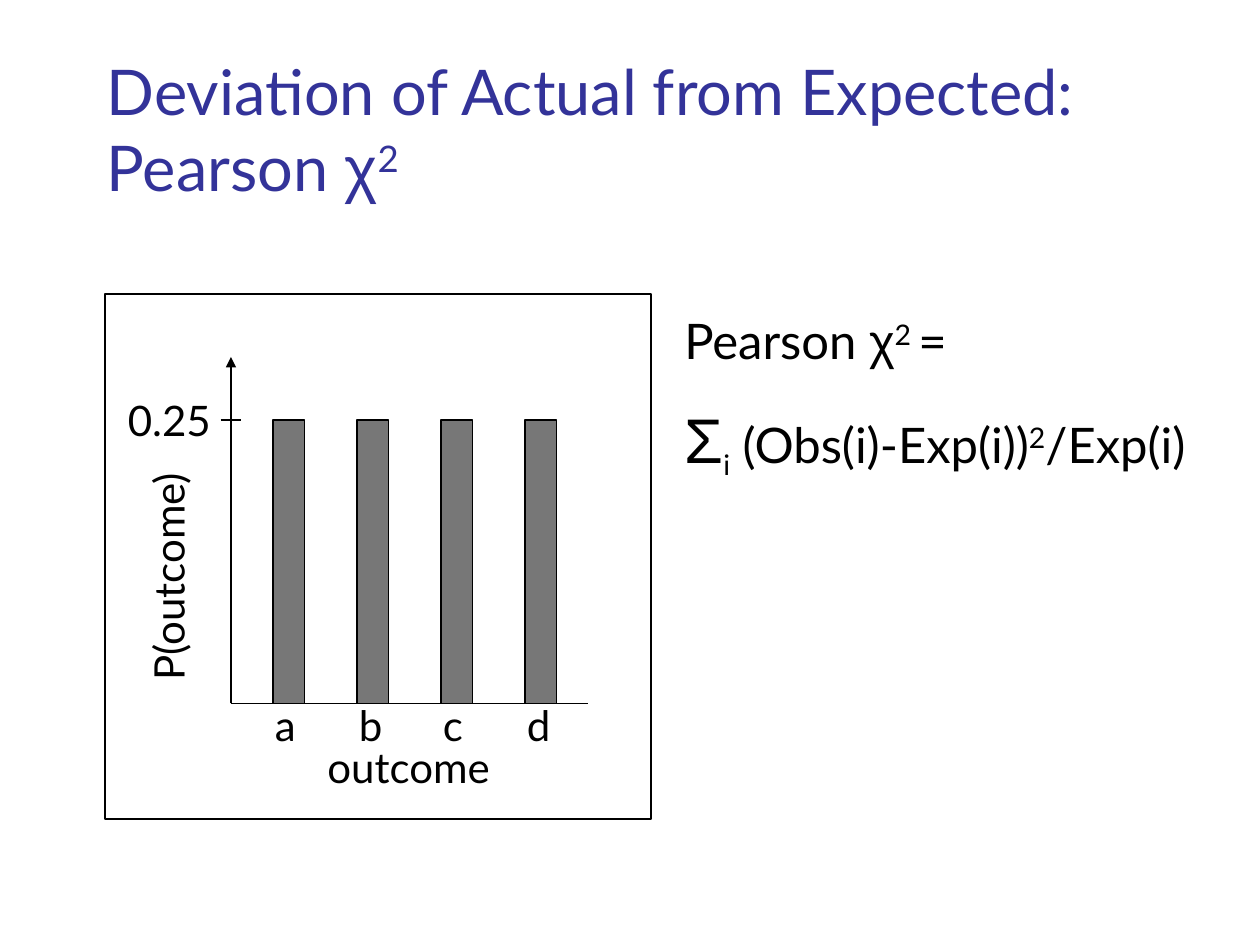
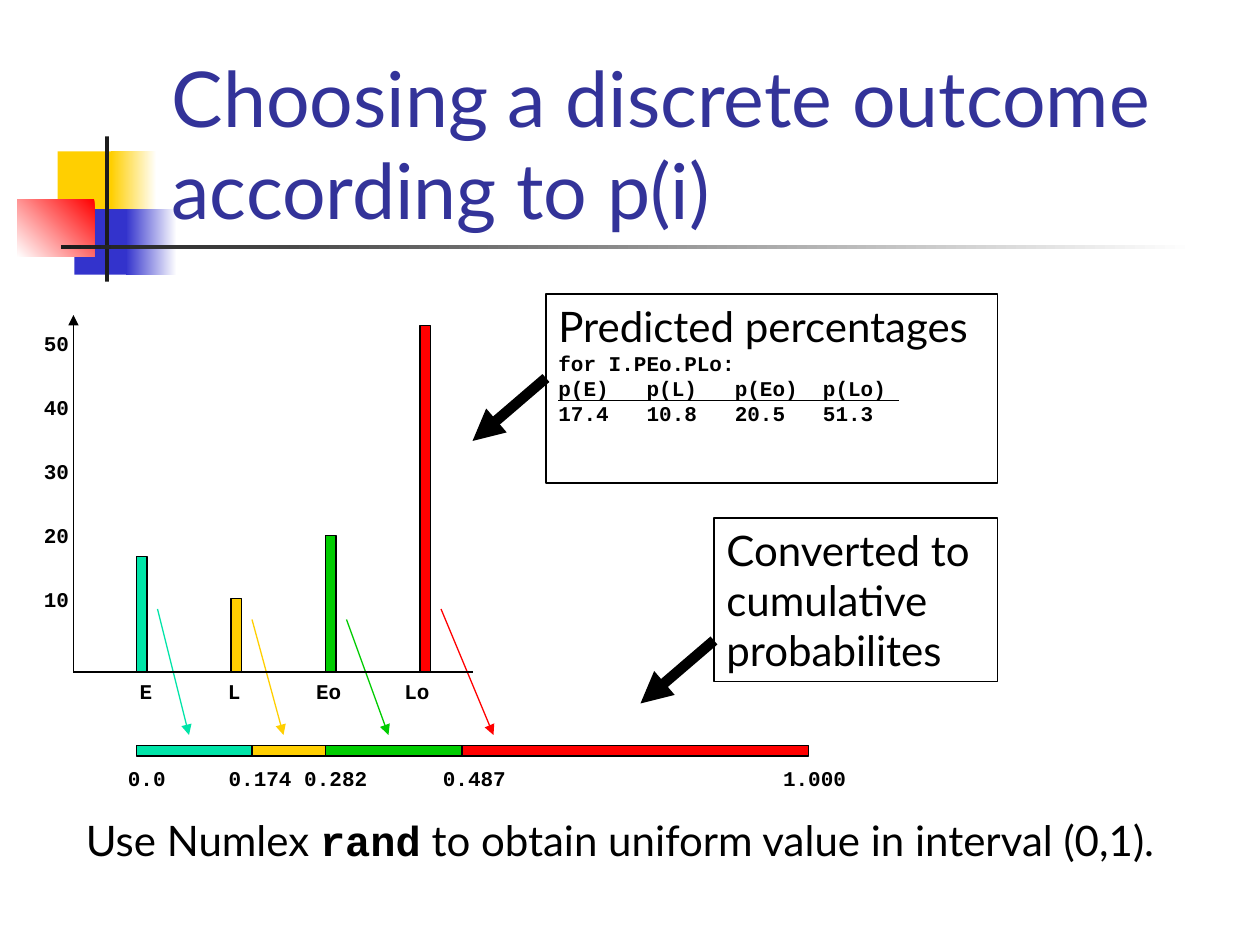
from lxml import etree
from pptx import Presentation
from pptx import util as u
from pptx.dml import color
from pptx.enum import shapes, text
from pptx.oxml import ns

BODY, GREEK, MONO = "Lato", "Arial", "Courier New"
BLACK, NAVY, GRAY, DARK, WHITE = "000000", "333399", "777777", "1C1C1C", "FFFFFF"
MINT, YELLOW, GREEN, RED, BLUE = "00E4A8", "FFCF01", "00CC00", "FF0000", "3333CC"
MONO_SIZE = 12
MONO_ADVANCE = 7.2


def rgb(hex_code):
    return color.RGBColor.from_string(hex_code)


def points(*values):
    return [u.Pt(value) for value in values]


def add_rect(page, area, fill=None, line=BLACK):
    box = page.shapes.add_shape(shapes.MSO_SHAPE.RECTANGLE, *points(*area))
    box.shadow.inherit = False
    if fill:
        box.fill.solid()
        box.fill.fore_color.rgb = rgb(fill)
    else:
        box.fill.background()
    if line:
        box.line.color.rgb = rgb(line)
        box.line.width = u.Pt(0.75)
    else:
        box.line.fill.background()
    return box


def add_fade(page, area, start, end, angle=180):
    box = add_rect(page, area, line=None)
    box.fill.gradient()
    box.fill.gradient_angle = angle
    for stop, hex_code in zip(box.fill.gradient_stops, (start, end)):
        stop.color.rgb = rgb(hex_code)


def add_line(page, start, end, hex_code=BLACK, width=0.75, arrow=False):
    line = page.shapes.add_connector(shapes.MSO_CONNECTOR.STRAIGHT, *points(*start, *end))
    line.line.color.rgb = rgb(hex_code)
    line.line.width = u.Pt(width)
    if arrow:
        etree.SubElement(line.line._get_or_add_ln(), ns.qn("a:tailEnd"), type="triangle")
    etree.SubElement(line._element.spPr, ns.qn("a:effectLst"))


def style_span(span, size=24, font=BODY, hex_code=BLACK, bold=False, baseline=0):
    span.font.size = u.Pt(size)
    span.font.name = font
    span.font.color.rgb = rgb(hex_code)
    span.font.bold = bold
    if baseline:
        span.font._element.set("baseline", str(baseline * 1000))


def add_spans(para, spans):
    para.alignment = text.PP_ALIGN.LEFT
    for words, style in spans:
        span = para.add_run()
        span.text = words
        style_span(span, **style)


def set_columns(para, columns):
    tabs = etree.SubElement(para._p.get_or_add_pPr(), ns.qn("a:tabLst"))
    for column in columns:
        etree.SubElement(tabs, ns.qn("a:tab"), pos=str(u.Pt(column * MONO_ADVANCE)), algn="l")


def open_frame(box):
    frame = box.text_frame
    frame.word_wrap = True
    frame.vertical_anchor = text.MSO_ANCHOR.TOP
    return frame


def add_text(page, area, words, **style):
    box = page.shapes.add_textbox(*points(*area))
    para = open_frame(box).paragraphs[0]
    para.text = words
    for span in para.runs:
        style_span(span, **style)
    return box


def add_rich(box, paragraphs, space_before=0):
    frame = open_frame(box)
    for index, spans in enumerate(paragraphs):
        para = frame.add_paragraph() if index else frame.paragraphs[0]
        if index and space_before:
            para.space_before = u.Pt(space_before)
        add_spans(para, spans)
    return frame


def add_mono(page, area, words, columns=()):
    box = add_text(page, area, words, size=MONO_SIZE, font=MONO, bold=True)
    if columns:
        set_columns(box.text_frame.paragraphs[0], columns)


def add_title(page, area, spans, size):
    box = page.shapes.add_textbox(*points(*area))
    title = [(words, dict(size=size, hex_code=NAVY, **style)) for words, style in spans]
    add_rich(box, [title]).vertical_anchor = text.MSO_ANCHOR.BOTTOM


def add_axes(page, left, base, right, top):
    add_line(page, (left, base), (right, base))
    add_line(page, (left, base), (left, top), arrow=True)


def add_emblem(page):
    add_rect(page, (33, 86.5, 34.5, 37.5), YELLOW, None)
    add_fade(page, (63.5, 86.5, 26, 37.5), WHITE, YELLOW)
    add_rect(page, (42.5, 119.5, 33, 37.5), BLUE, None)
    add_fade(page, (72, 119.5, 29, 37.5), WHITE, BLUE)
    add_fade(page, (10, 113.75, 44, 33), RED, WHITE, 225)
    add_rect(page, (60, 78, 2.25, 83), DARK, None)
    add_fade(page, (34.75, 140.25, 648, 2.25), WHITE, DARK)


def build_pearson(page):
    add_title(page, (54, 36, 612, 84), [
        ("Deviation of Actual from Expected: Pearson ", {}),
        ("χ", dict(font=GREEK)),
        ("2", dict(baseline=30)),
    ], 36)

    base, bar_top = 402, 240
    add_rect(page, (60, 168, 312, 300))
    add_axes(page, 132, base, 336, 204)
    add_line(page, (126, bar_top), (138, bar_top))
    add_text(page, (66, 222, 66, 36), "0.25")
    add_text(page, (21, 303, 150, 36), "P(outcome)").rotation = 270
    add_text(page, (180, 420, 112, 36), "outcome")
    for index, outcome in enumerate("abcd"):
        left = 156 + 48 * index
        add_rect(page, (left, bar_top, 18, base - bar_top), GRAY)
        add_text(page, (left - 6, 396, 30, 36), outcome)

    plain = dict(size=28)
    raised = dict(size=28, baseline=30)
    formula = page.shapes.add_textbox(*points(384, 174, 324, 104))
    add_rich(formula, [
        [("Pearson ", plain), ("χ", dict(size=28, font=GREEK)), ("2 ", raised), ("=", plain)],
        [("Σ", dict(size=36, font=GREEK)), ("i", dict(size=28, baseline=-25)),
         (" (Obs(i)-Exp(i))", plain), ("2", raised), ("/Exp(i)", plain)],
    ], 17.5)


def build_discrete(page):
    add_emblem(page)
    add_title(page, (91, 48, 613, 90), [("Choosing a discrete outcome according to p(i)", {})], 44)

    mono = dict(size=MONO_SIZE, font=MONO, bold=True)
    predicted = add_rect(page, (312, 168, 258, 108))
    frame = add_rich(predicted, [
        [("Predicted percentages", {})],
        [("for I.PEo.PLo:", mono)],
        [("p(E)\tp(L)\tp(Eo)\tp(Lo)", mono)],
        [("17.4\t10.8\t20.5\t51.3", mono)],
    ])
    for para in frame.paragraphs[2:]:
        set_columns(para, (7, 14, 21))
    add_line(page, (319, 228.75), (513.5, 228.75))
    add_line(page, (312, 216), (270, 252), width=6, arrow=True)

    converted = add_rect(page, (408, 296, 162, 93.5))
    add_rich(converted, [[("Converted to cumulative probabilites", {})]])
    add_line(page, (408, 366), (366, 402), width=6, arrow=True)

    base, segment_left = 384, 78
    outcomes = [
        (MINT, 66, 348, 108),
        (YELLOW, 42, 354, 162),
        (GREEN, 78, 354, 222),
        (RED, 198, 348, 282),
    ]
    for index, (hex_code, extent, arrow_top, arrow_end) in enumerate(outcomes):
        bar_left = 78 + 54 * index
        add_rect(page, (bar_left, base - extent, 6, extent), hex_code)
        add_rect(page, (segment_left, 426, extent, 6), hex_code)
        add_line(page, (bar_left + 12, arrow_top), (arrow_end, 420), hex_code, arrow=True)
        segment_left += extent
    add_axes(page, 42, base, 270, 180)
    for index in range(5):
        add_mono(page, (18, 331.5 - 36.6 * index, 30, 21.5), str(10 * (index + 1)))
    add_mono(page, (72.75, 384, 190, 21.5), "E\tL\tEo\tLo", (7, 14, 21))
    add_mono(page, (66, 434, 468, 21.5), "0.0\t0.174\t0.282\t0.487\t1.000", (8, 14, 25, 52))

    advice = page.shapes.add_textbox(*points(42, 462, 648, 65))
    add_rich(advice, [[
        ("Use Numlex ", {}),
        ("rand", dict(font=MONO, bold=True)),
        (" to obtain uniform value in interval (0,1).", {}),
    ]])


def main():
    deck = Presentation()
    deck.slide_width, deck.slide_height = points(720, 540)
    for build in (build_pearson, build_discrete):
        build(deck.slides.add_slide(deck.slide_layouts[6]))
    deck.save("out.pptx")


if __name__ == "__main__":
    main()
